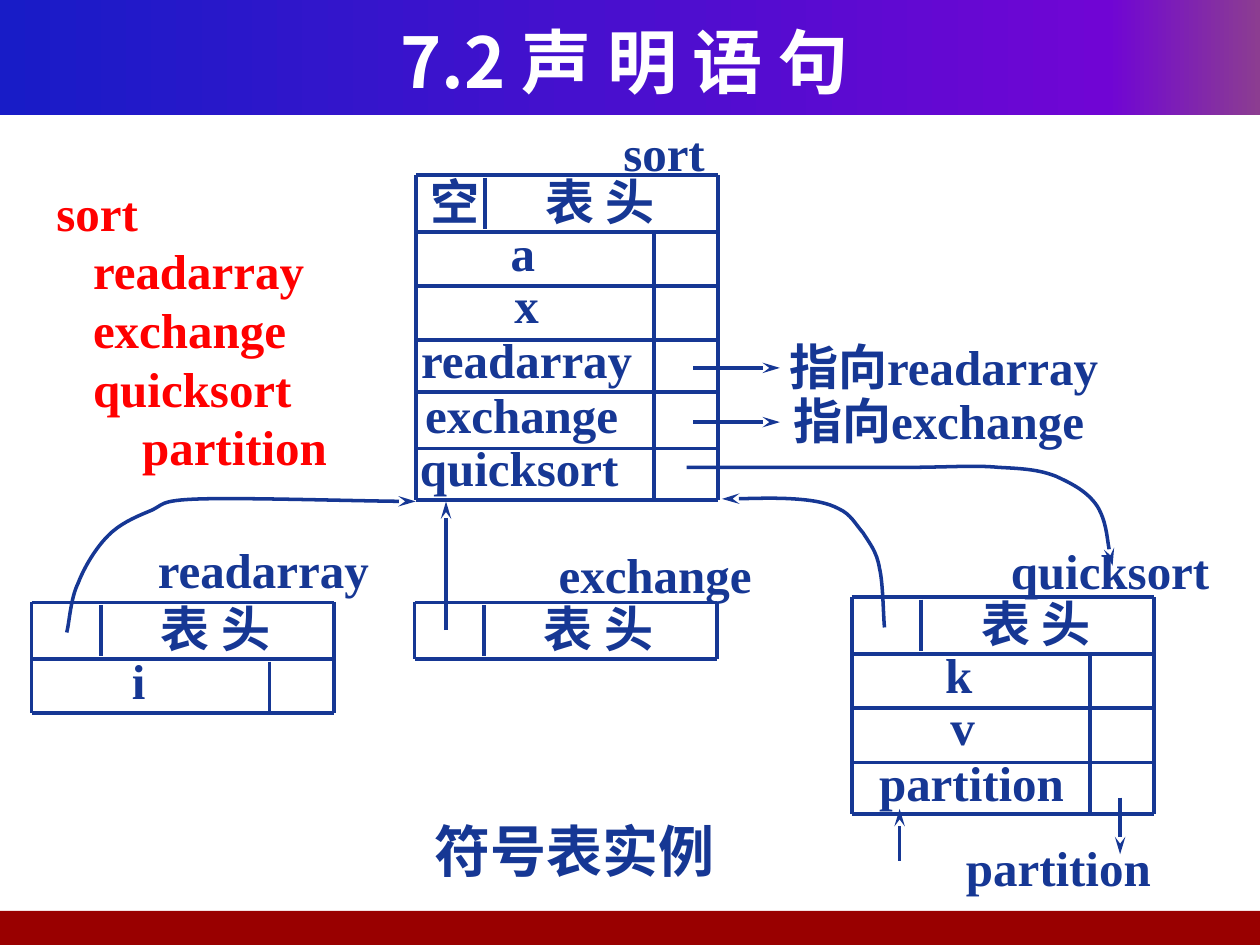
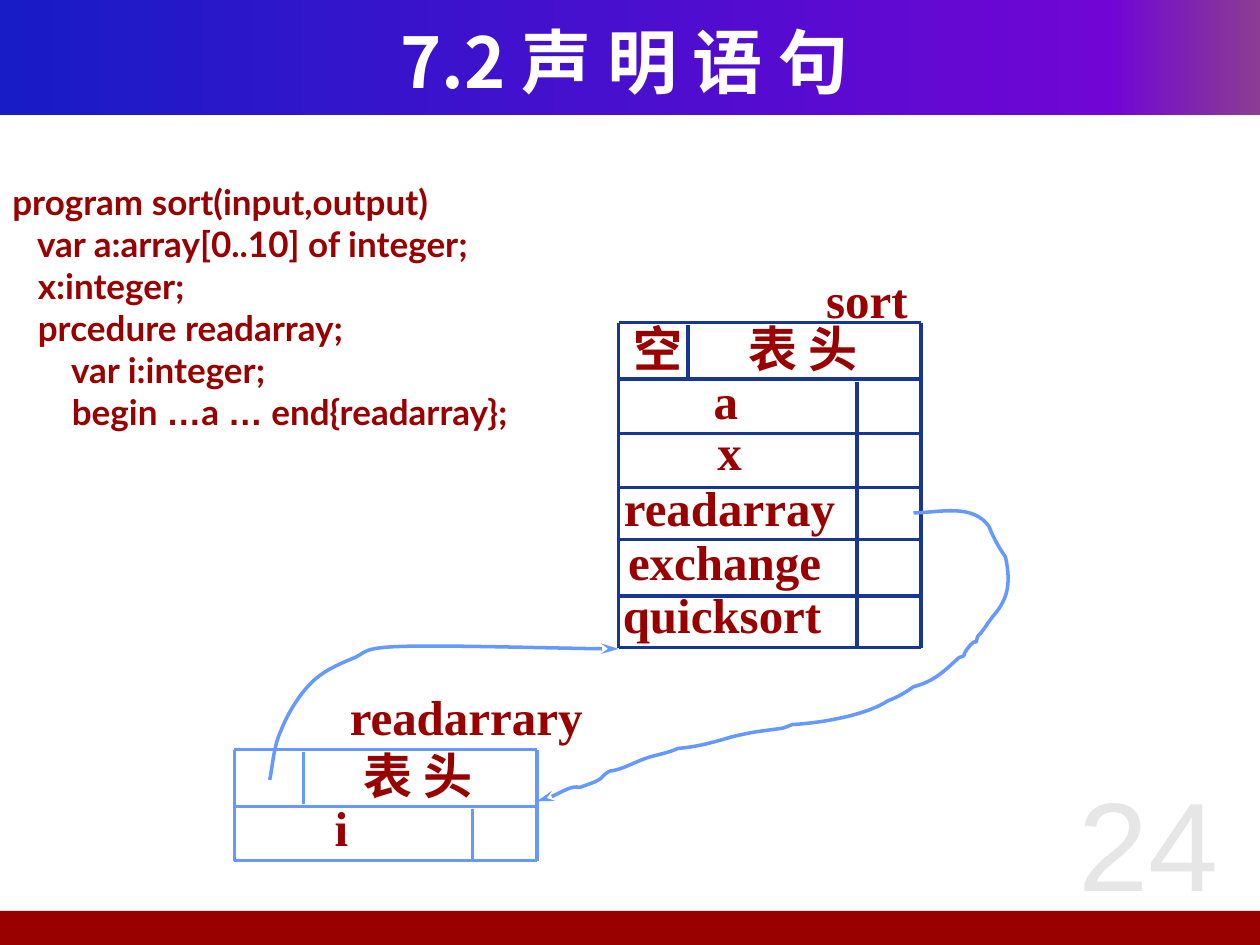
import copy

import lxml.etree
import pptx
import pptx.dml.color
import pptx.enum.shapes
import pptx.enum.text
import pptx.oxml.ns
import pptx.util

PX = 9144  # 100 px to the inch
RGB = pptx.dml.color.RGBColor
ALIGN = pptx.enum.text.PP_ALIGN
SHAPE = pptx.enum.shapes.MSO_SHAPE
qn = pptx.oxml.ns.qn
NAVY = RGB(0x16, 0x37, 0x94)
SKY = RGB(0x66, 0x99, 0xFF)
MAROON = RGB(0x99, 0x00, 0x00)
RED = RGB(0xFF, 0x00, 0x00)
WHITE = RGB(0xFF, 0xFF, 0xFF)
PALE = RGB(0xE6, 0xE6, 0xE6)
BAND = [(0, RGB(0x18, 0x1C, 0xC7)), (0.88, RGB(0x70, 0x05, 0xD4)), (1, RGB(0x8C, 0x3D, 0x91))]
SERIF = "Times New Roman"
SANS = "Noto Sans CJK SC"


def write(slide, text, x, y, w, h, ink, size=28, face=SERIF, bold=True, align=ALIGN.CENTER):
    """Fill a new text box, or the title if the text is its heading."""
    if face == SANS:
        box = slide.shapes.title
        box.left, box.top, box.width, box.height = x * PX, y * PX, w * PX, h * PX
        box.text_frame.vertical_anchor = pptx.enum.text.MSO_ANCHOR.MIDDLE
    else:
        box = slide.shapes.add_textbox(x * PX, y * PX, w * PX, h * PX)
    frame = box.text_frame
    frame.word_wrap = True
    frame.text = text
    for para in frame.paragraphs:
        para.alignment = align
        first, *rest = para.text.replace("…", "|…|").split("|")
        para.text = first
        for bit in rest:
            para.add_run().text = bit
        for run in para.runs:
            run.font.size = pptx.util.Pt(size)
            run.font.name = "Arial" if run.text == "…" else face
            run.font.bold = bold
            run.font.color.rgb = ink
            if face == SANS:
                east = lxml.etree.SubElement(run.font._element, qn("a:ea"))
                east.set("typeface", face)
    return frame


def stroke(slide, ink, dots, arrow=False):
    """Draw a line through two points, or a Bezier curve through 3n + 1."""
    dots = [(x * PX, y * PX) for x, y in dots]
    if len(dots) == 2:
        line = slide.shapes.add_connector(
            pptx.enum.shapes.MSO_CONNECTOR.STRAIGHT, *dots[0], *dots[1])
        lxml.etree.SubElement(line.element.spPr, qn("a:effectLst"))
    else:
        pen = slide.shapes.build_freeform(*dots[0])
        pen.add_line_segments(dots[1:], close=False)
        line = pen.convert_to_shape()
        steps = list(line.element.spPr.iter(qn("a:lnTo")))
        for i in range(0, len(steps), 3):
            curve = lxml.etree.Element(qn("a:cubicBezTo"))
            steps[i].addprevious(curve)
            for step in steps[i:i + 3]:
                curve.append(step[0])
                step.getparent().remove(step)
        line.fill.background()
        line.shadow.inherit = False
    line.line.color.rgb = ink
    line.line.width = pptx.util.Pt(2)
    if arrow:
        tip = lxml.etree.SubElement(line.line._get_or_add_ln(), qn("a:tailEnd"))
        tip.set("type", "stealth")
        tip.set("len", "lg")


deck = pptx.Presentation()
deck.slide_width, deck.slide_height = 1000 * PX, 750 * PX
full, part = [deck.slides.add_slide(deck.slide_layouts[5]) for _ in range(2)]

# Bands shared through the master
tree = deck.slide_master.element.cSld.spTree
for left, top, wide, high in [(0, 0, 1000, 91), (-4, 723, 1004, 27)]:
    band = full.shapes.add_shape(SHAPE.RECTANGLE, left * PX, top * PX, wide * PX, high * PX)
    band.shadow.inherit = False
    band.line.fill.background()
    if top:
        band.fill.solid()
        band.fill.fore_color.rgb = MAROON
    else:
        band.fill.gradient()
        band.fill.gradient_angle = 0
        stops = band.element.spPr.find(".//" + qn("a:gsLst"))
        stops.append(copy.deepcopy(stops[-1]))
        for stop, (place, shade) in zip(band.fill.gradient_stops, BAND):
            stop.position = place
            stop.color.rgb = shade
    tree.insert(2, band.element)

for slide in (full, part):
    write(slide, "7.2 声 明 语 句", 33, 17, 925, 62, WHITE, 40, SANS)

# Symbol tables: left, label (text, middle, top), head,
# rows (top, name, middle, rise of the text), foot
SORT = (330, ("sort", 527, 92), 139, [
    (184, "a", 85, 12), (227, "x", 88, 14), (270, "readarray", 88, 13),
    (311, "exchange", 84, 11), (356, "quicksort", 82, 14)], 397)
READ = (25, ("readarray", 209, 423), 478, [(523, "i", 85, 12)], 566)
SWAP = (329, ("exchange", 520, 427), 478, [], 523)
QUICK = (676, ("quicksort", 881, 424), 474, [
    (519, "k", 85, 12), (562, "v", 88, 14), (605, "partition", 95, 13)], 646)
TYPO = (25, ("readarrary", 209, 423), *READ[2:])
WIDE = 240

# The second slide shows two of the tables, moved
for slide, dx, dy, rule, ink, table in [
        (full, 0, 0, NAVY, NAVY, SORT), (full, 0, 0, NAVY, NAVY, QUICK),
        (full, 0, 0, NAVY, NAVY, READ), (full, 0, 0, NAVY, NAVY, SWAP),
        (part, 161, 117, NAVY, MAROON, SORT), (part, 161, 117, SKY, MAROON, TYPO)]:
    left, (label, mid, top), head, rows, foot = table
    x, head, foot = left + dx, head + dy, foot + dy
    tops = [row[0] + dy for row in rows]
    for y in [head, *tops, foot]:
        stroke(slide, rule, [(x, y), (x + WIDE, y)])
    for edge in (x, x + WIDE):
        stroke(slide, rule, [(edge, head), (edge, foot)])
    stroke(slide, rule, [(x + 55, head + 2), (x + 55, head + 43)])
    if rows:
        stroke(slide, rule, [(x + 189, tops[0] + 2), (x + 189, foot)])
    write(slide, label, mid + dx - 105, top + dy, 210, 57, ink)
    write(slide, "表 头", x + 72, head - 8, 148, 53, ink)
    if label == "sort":
        write(slide, "空", x + 2, head - 8, 57, 53, ink)
    for y, (_, name, mid, rise) in zip(tops, rows):
        write(slide, name, x + mid - 96, y - rise, 192, 53, ink)

# Links from a table back to the one that holds it
HOME = [(53, 502), (55, 495), (56, 475), (62, 463), (67, 450), (76, 435), (86, 425),
        (95, 416), (106, 411), (118, 406), (131, 401), (124, 397), (160, 396),
        (195, 395), (295, 398), (330, 398)]
stroke(full, NAVY, HOME, True)
stroke(part, SKY, [(x + 161, y + 117) for x, y in HOME], True)
stroke(full, NAVY, [
    (702, 498), (701, 490), (701, 463), (698, 451), (696, 438), (690, 431), (685, 423),
    (679, 416), (675, 408), (666, 404), (657, 399), (645, 397), (630, 396),
    (614, 395), (585, 396), (573, 396)], True)
# Links from a row to its table
stroke(full, NAVY, [
    (545, 371), (573, 371), (673, 371), (714, 371), (755, 371), (772, 369), (793, 371),
    (814, 372), (825, 373), (838, 378), (851, 384), (863, 390), (871, 402),
    (878, 414), (880, 439), (883, 449)], True)
stroke(part, SKY, [
    (725, 407), (745, 407), (772, 399), (785, 418), (788, 426), (793, 435), (798, 442),
    (802, 461), (801, 474), (789, 488), (784, 494), (781, 500), (776, 505),
    (773, 515), (777, 505), (770, 512), (761, 523), (769, 519), (761, 522),
    (749, 533), (741, 541), (725, 545), (718, 550), (713, 553), (705, 556),
    (687, 568), (650, 574), (629, 575), (618, 579), (627, 577), (606, 580),
    (596, 581), (580, 585), (580, 585), (567, 589), (552, 593), (538, 594),
    (532, 597), (522, 599), (515, 601), (505, 604), (494, 611), (484, 612),
    (478, 615), (479, 617), (475, 619), (472, 621), (468, 622), (460, 625),
    (454, 623), (424, 640), (426, 636)], True)
for dots in [[(354, 500), (354, 398)], [(889, 633), (889, 678)], [(714, 683), (714, 642)],
             [(550, 292), (619, 292)], [(550, 335), (619, 335)]]:
    stroke(full, NAVY, dots, True)

write(full, "指向readarray", 601, 262, 296, 57, NAVY)
write(full, "指向exchange", 602, 305, 286, 61, NAVY)
write(full, "partition", 755, 660, 170, 57, NAVY)
write(full, "符号表实例", 335, 643, 256, 71, NAVY, 32, align=ALIGN.LEFT)

nest = write(full, "sort\nreadarray\nexchange\nquicksort\npartition",
             35, 140, 256, 246, RED, align=ALIGN.LEFT)
for para, inset in zip(nest.paragraphs, [0, 29, 29, 29, 68]):
    para._p.get_or_add_pPr().set("marL", str(inset * PX))
    para.line_spacing = pptx.util.Pt(33.5)

CODE = """program sort(input,output)
   var a:array[0..10] of integer;
   x:integer;
   prcedure readarray;
       var i:integer;
       begin …a … end{readarray};"""
write(part, CODE, 0, 138, 547, 210, MAROON, 20, "Lato", align=ALIGN.LEFT)
write(part, "24", 823, 603, 177, 142, PALE, 72, "Arial", bold=False)

deck.save("out.pptx")
